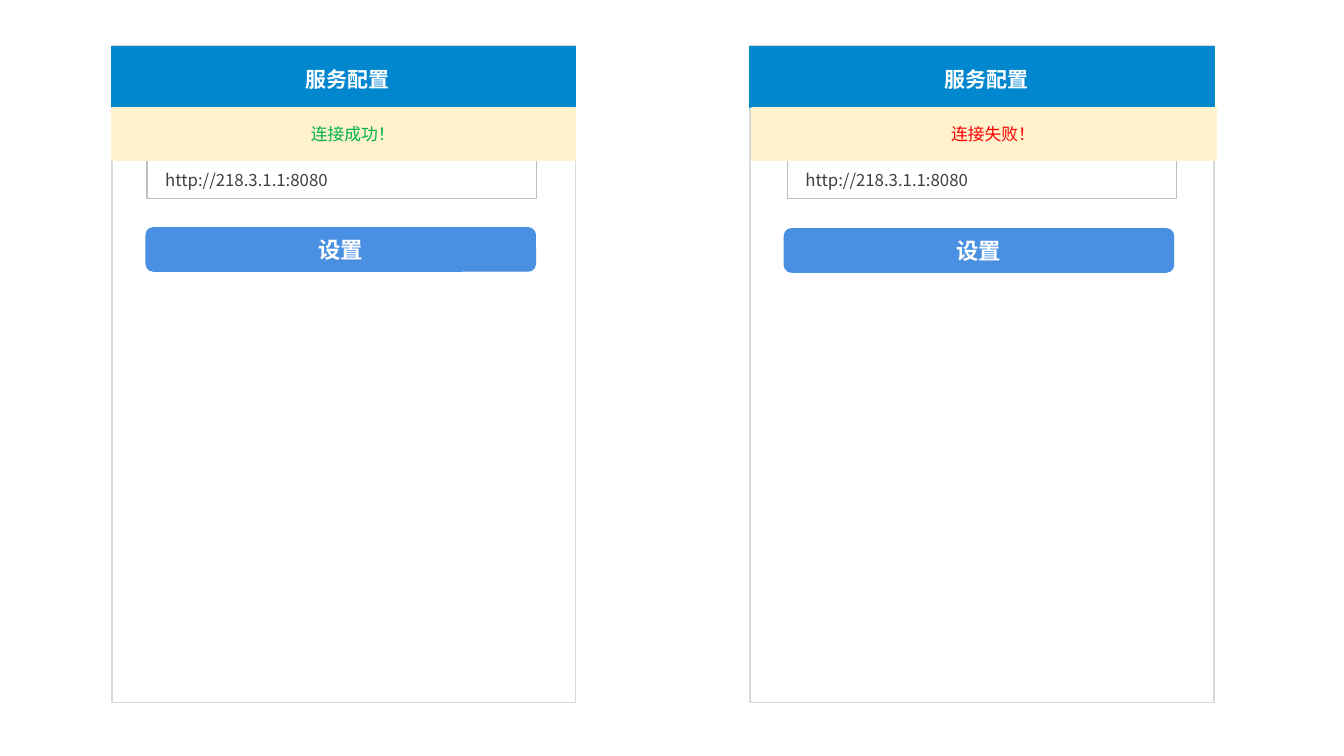
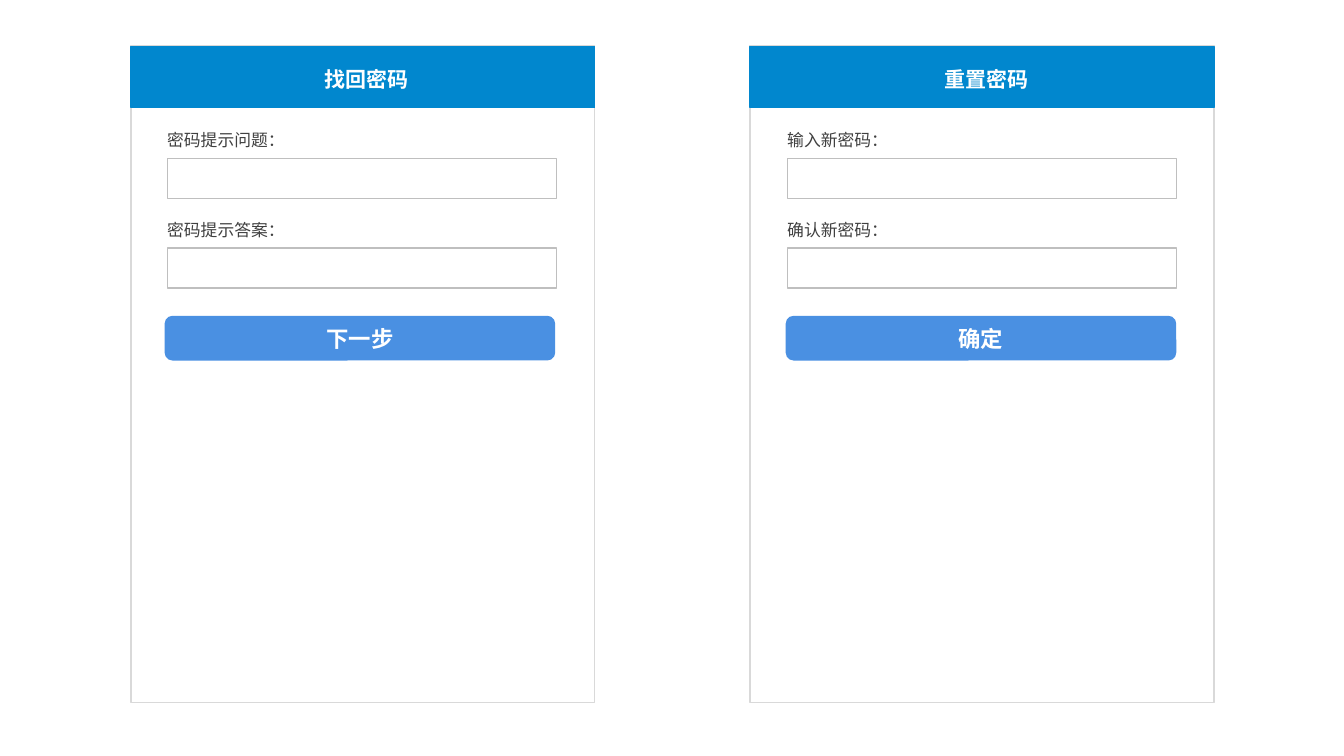
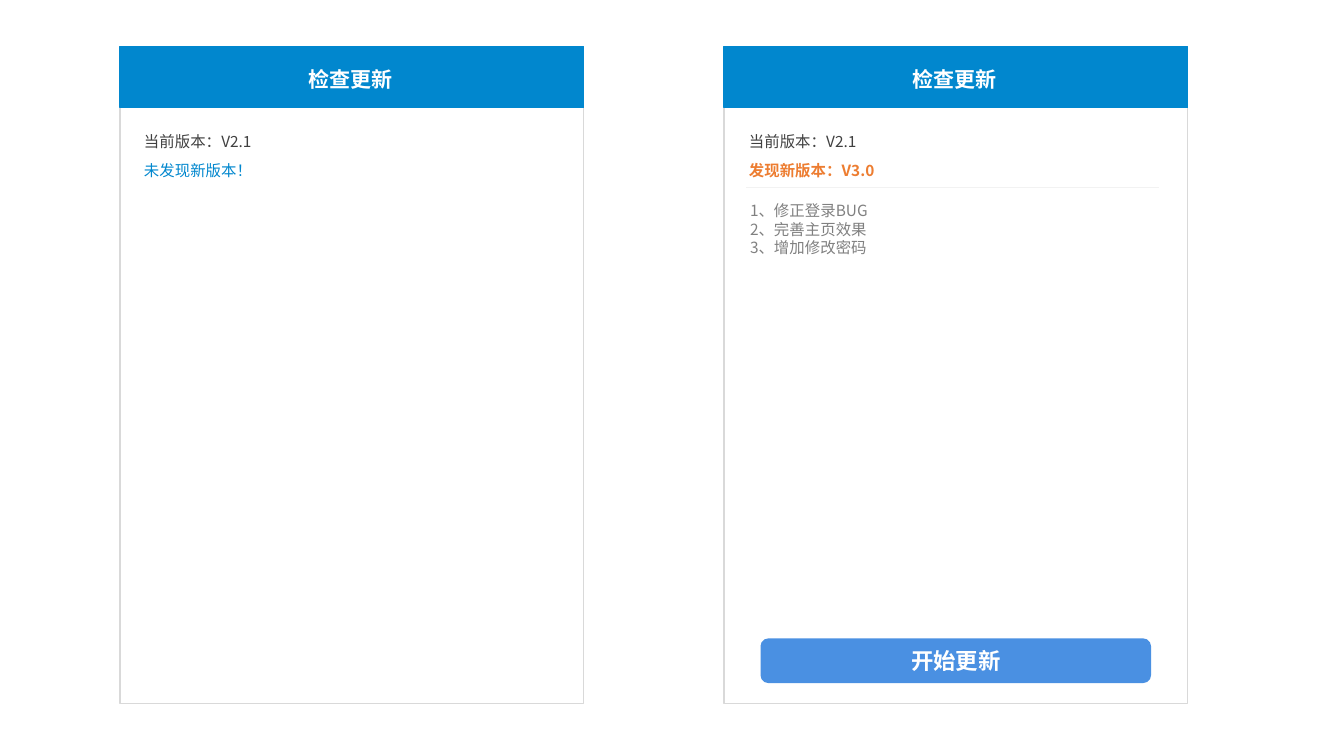
from dataclasses import dataclass

import pptx
import pptx.util
from pptx.dml.color import RGBColor
from pptx.enum.shapes import MSO_CONNECTOR, MSO_SHAPE
from pptx.enum.text import MSO_ANCHOR, MSO_AUTO_SIZE, PP_ALIGN
from pptx.oxml.ns import qn
from pptx.shapes.autoshape import Shape
from pptx.slide import Slide
from pptx.text.text import TextFrame
from pptx.util import Inches

FONT = "Noto Sans CJK SC"
WHITE = RGBColor(0xFF, 0xFF, 0xFF)
HEADER_BLUE = RGBColor(0x01, 0x87, 0xCE)
BUTTON_BLUE = RGBColor(0x4A, 0x90, 0xE2)
FRAME_GREY = RGBColor(0xD9, 0xD9, 0xD9)
FIELD_GREY = RGBColor(0xBF, 0xBF, 0xBF)
RULE_GREY = RGBColor(0xF2, 0xF2, 0xF2)
TEXT_DARK = RGBColor(0x40, 0x40, 0x40)
TEXT_GREY = RGBColor(0x80, 0x80, 0x80)
BANNER_CREAM = RGBColor(0xFF, 0xF2, 0xCC)
SUCCESS_GREEN = RGBColor(0x00, 0xB0, 0x50)
FAILURE_RED = RGBColor(0xFF, 0x00, 0x00)
UPDATE_ORANGE = RGBColor(0xED, 0x7D, 0x31)

SCREEN_WIDTH, SCREEN_HEIGHT = 4.6, 6.52
HEADER_TOP, HEADER_HEIGHT = 0.46, 0.61
CONTROL_WIDTH, FIELD_HEIGHT, BUTTON_HEIGHT = 3.86, 0.4, 0.43
FIELD_TOP, FIELD_STEP = 1.57, 0.89
LABEL_WIDTH = 2.64


@dataclass(frozen=True)
class TextStyle:
    size: float
    color: RGBColor
    bold: bool = False
    align: PP_ALIGN = PP_ALIGN.LEFT


TITLE = TextStyle(15, WHITE, True, PP_ALIGN.CENTER)
BUTTON = TextStyle(16, WHITE, True, PP_ALIGN.CENTER)
LABEL = TextStyle(12, TEXT_DARK)
VERSION = TextStyle(11, TEXT_DARK)
NO_UPDATE = TextStyle(11, HEADER_BLUE)
NEW_VERSION = TextStyle(11, UPDATE_ORANGE, True)
CHANGES = TextStyle(11, TEXT_GREY)


@dataclass(frozen=True)
class ConnectionScreen:
    left: float
    field_left: float
    button_left: float
    button_top: float
    banner_left: float
    message: str
    color: RGBColor


@dataclass(frozen=True)
class PasswordScreen:
    left: float
    title: str
    field_left: float
    button_left: float
    labels: tuple[str, ...]
    action: str


@dataclass(frozen=True)
class UpdateScreen:
    left: float
    text_left: float
    status: str
    status_style: TextStyle


def write_text(frame: TextFrame, text: str, style: TextStyle) -> None:
    """Fill the frame with one paragraph per line of text."""
    frame.word_wrap = True
    frame.text = text
    for para in frame.paragraphs:
        para.alignment = style.align
        font = para.font
        font.name, font.size = FONT, pptx.util.Pt(style.size)
        font.bold, font.color.rgb = style.bold, style.color
        properties = para._p.pPr.find(qn("a:defRPr"))
        east_asian = properties.makeelement(qn("a:ea"), {"typeface": FONT})
        properties.find(qn("a:latin")).addnext(east_asian)


def add_text(page: Slide, left: float, top: float, width: float, height: float,
             text: str, style: TextStyle) -> None:
    box = page.shapes.add_textbox(Inches(left), Inches(top), Inches(width), Inches(height))
    write_text(box.text_frame, text, style)
    box.text_frame.auto_size = MSO_AUTO_SIZE.SHAPE_TO_FIT_TEXT


def add_block(page: Slide, left: float, top: float, width: float, height: float,
              fill: RGBColor, line: RGBColor,
              kind: MSO_SHAPE = MSO_SHAPE.RECTANGLE) -> Shape:
    block = page.shapes.add_shape(kind, Inches(left), Inches(top), Inches(width), Inches(height))
    block.shadow.inherit = False
    block.fill.solid()
    block.fill.fore_color.rgb = fill
    block.line.color.rgb = line
    block.line.width = pptx.util.Pt(1)
    return block


def add_frame(page: Slide, left: float, title: str, top: float = 0.45,
              title_shift: float = 0.04, title_width: float = 1.4) -> None:
    """Draw an empty phone screen with its header and title."""
    add_block(page, left, top, SCREEN_WIDTH, SCREEN_HEIGHT, WHITE, FRAME_GREY)
    add_block(page, left, HEADER_TOP, SCREEN_WIDTH, HEADER_HEIGHT, HEADER_BLUE, HEADER_BLUE)
    title_left = left + (SCREEN_WIDTH - title_width) / 2 + title_shift
    add_text(page, title_left, 0.61, title_width, 0.35, title, TITLE)


def add_button(page: Slide, left: float, top: float, text: str) -> None:
    button = add_block(page, left, top, CONTROL_WIDTH, BUTTON_HEIGHT,
                       BUTTON_BLUE, BUTTON_BLUE, MSO_SHAPE.ROUNDED_RECTANGLE)
    write_text(button.text_frame, text, BUTTON)
    button.text_frame.vertical_anchor = MSO_ANCHOR.MIDDLE


def add_field(page: Slide, left: float, top: float) -> None:
    add_block(page, left, top, CONTROL_WIDTH, FIELD_HEIGHT, WHITE, FIELD_GREY)


def draw_connection(page: Slide, screen: ConnectionScreen) -> None:
    add_frame(page, screen.left, "服务配置")
    add_button(page, screen.button_left, screen.button_top, "设置")
    add_field(page, screen.field_left, FIELD_TOP)
    add_text(page, screen.field_left + 0.08, 1.63, LABEL_WIDTH, 0.3,
             "http://218.3.1.1:8080", LABEL)
    add_block(page, screen.banner_left, 1.07, SCREEN_WIDTH, 0.52, BANNER_CREAM, BANNER_CREAM)
    add_text(page, screen.banner_left + 1.07, 1.18, LABEL_WIDTH, 0.3, screen.message,
             TextStyle(12, screen.color, align=PP_ALIGN.CENTER))


def draw_password(page: Slide, screen: PasswordScreen) -> None:
    add_frame(page, screen.left, screen.title)
    add_button(page, screen.button_left, 3.14, screen.action)
    for row, label in enumerate(screen.labels):
        top = FIELD_TOP + row * FIELD_STEP
        add_field(page, screen.field_left, top)
        add_text(page, screen.field_left - 0.1, top - 0.33, LABEL_WIDTH, 0.3, label, LABEL)


def draw_update(page: Slide, screen: UpdateScreen) -> None:
    add_frame(page, screen.left, "检查更新", HEADER_TOP, -0.01, 1.84)
    add_text(page, screen.text_left, 1.26, 2.67, 0.29, "当前版本：V2.1", VERSION)
    add_text(page, screen.text_left, 1.55, 2.67, 0.29, screen.status, screen.status_style)


def draw_changes(page: Slide) -> None:
    """Add the list of changes and the button that starts the update."""
    add_button(page, 7.55, 6.34, "开始更新")
    rule = page.shapes.add_connector(MSO_CONNECTOR.STRAIGHT, Inches(7.4), Inches(1.86),
                                     Inches(11.5), Inches(1.86))
    rule.line.color.rgb = RULE_GREY
    rule.line.width = pptx.util.Pt(0.5)
    properties = rule._element.spPr
    properties.append(properties.makeelement(qn("a:effectLst"), {}))
    add_text(page, 7.34, 1.95, 3.55, 0.66,
             "1、修正登录BUG\n2、完善主页效果\n3、增加修改密码", CHANGES)


CONNECTION_SCREENS = (
    ConnectionScreen(1.11, 1.46, 1.45, 2.26, 1.11, "连接成功！", SUCCESS_GREEN),
    ConnectionScreen(7.44, 7.81, 7.78, 2.27, 7.46, "连接失败！", FAILURE_RED),
)
PASSWORD_SCREENS = (
    PasswordScreen(1.3, "找回密码", 1.66, 1.64, ("密码提示问题：", "密码提示答案："), "下一步"),
    PasswordScreen(7.44, "重置密码", 7.81, 7.8, ("输入新密码：", "确认新密码："), "确定"),
)
UPDATE_SCREENS = (
    UpdateScreen(1.19, 1.33, "未发现新版本！", NO_UPDATE),
    UpdateScreen(7.18, 7.33, "发现新版本：V3.0", NEW_VERSION),
)


def main() -> None:
    deck = pptx.Presentation()
    deck.slide_width, deck.slide_height = Inches(13.33), Inches(7.5)
    blank = deck.slide_layouts[6]
    for draw_screen, screens in (
        (draw_connection, CONNECTION_SCREENS),
        (draw_password, PASSWORD_SCREENS),
        (draw_update, UPDATE_SCREENS),
    ):
        page = deck.slides.add_slide(blank)
        for screen in screens:
            draw_screen(page, screen)
    draw_changes(page)
    deck.save("out.pptx")


if __name__ == "__main__":
    main()
